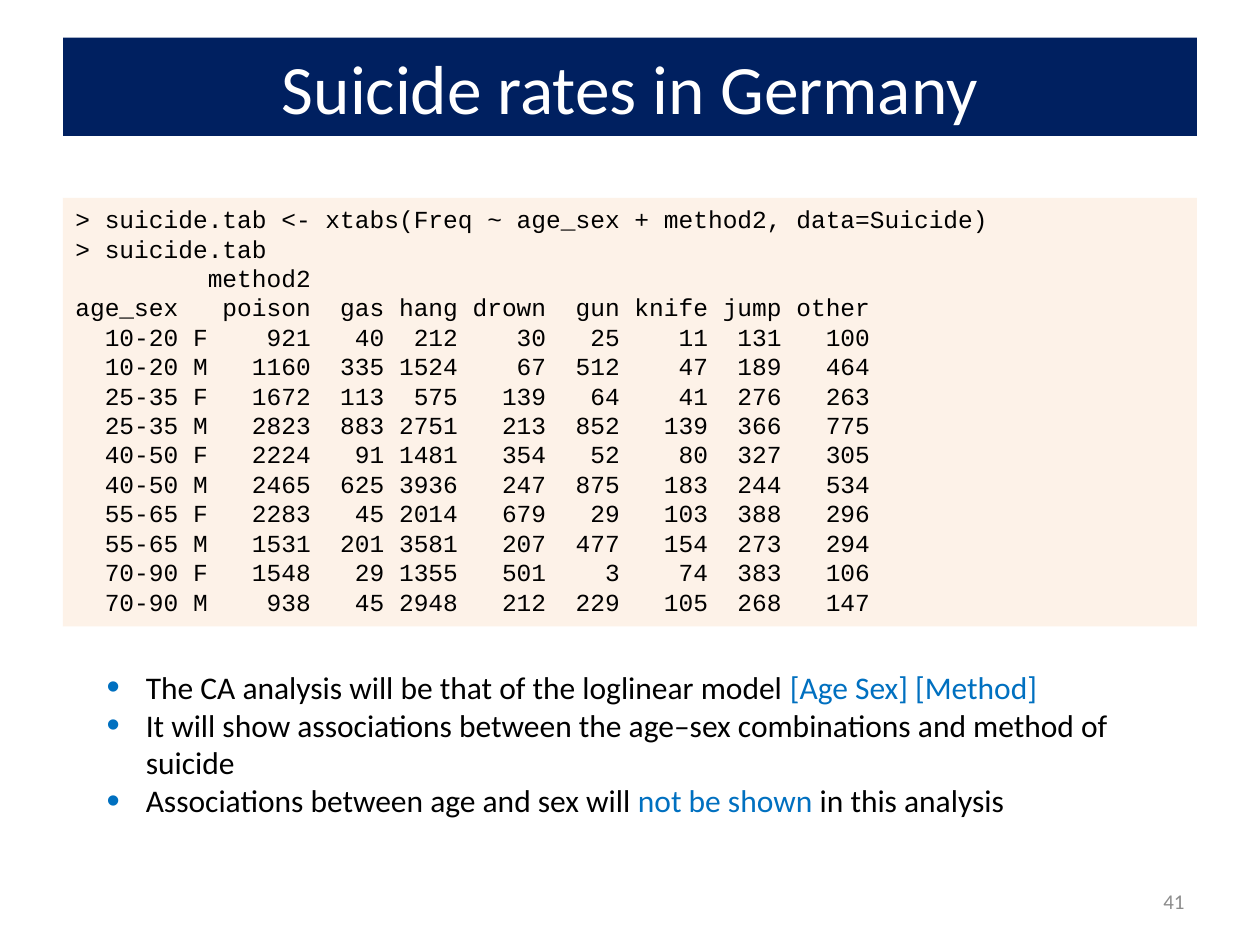
import pptx
import pptx.util
import pptx.dml.color
import pptx.enum.shapes
import pptx.enum.text
import pptx.oxml
import pptx.oxml.ns

Cm, Pt = pptx.util.Cm, pptx.util.Pt
RGB = pptx.dml.color.RGBColor
ALIGN = pptx.enum.text.PP_ALIGN
MIDDLE = pptx.enum.text.MSO_ANCHOR.MIDDLE

NAVY = RGB(0x00, 0x20, 0x60)
WHITE = RGB(0xFF, 0xFF, 0xFF)
BLACK = RGB(0x00, 0x00, 0x00)
BLUE = RGB(0x00, 0x70, 0xC0)
CREAM = RGB(0xFD, 0xEA, 0xDA)
GRAY = RGB(0x8C, 0x8C, 0x8C)

# Content
TITLE = "Suicide rates in Germany"
NUMBER = "41"
CODE = """\
> suicide.tab <- xtabs(Freq ~ age_sex + method2, data=Suicide)
> suicide.tab
         method2
age_sex   poison  gas hang drown  gun knife jump other
  10-20 F    921   40  212    30   25    11  131   100
  10-20 M   1160  335 1524    67  512    47  189   464
  25-35 F   1672  113  575   139   64    41  276   263
  25-35 M   2823  883 2751   213  852   139  366   775
  40-50 F   2224   91 1481   354   52    80  327   305
  40-50 M   2465  625 3936   247  875   183  244   534
  55-65 F   2283   45 2014   679   29   103  388   296
  55-65 M   1531  201 3581   207  477   154  273   294
  70-90 F   1548   29 1355   501    3    74  383   106
  70-90 M    938   45 2948   212  229   105  268   147"""
POINTS = [
    [("The CA analysis will be that of the loglinear model ", BLACK),
     ("[Age Sex] [Method]", BLUE)],
    [("It will show associations between the age–sex combinations "
      "and method of suicide", BLACK)],
    [("Associations between age and sex will ", BLACK),
     ("not be shown ", BLUE),
     ("in this analysis", BLACK)],
]

# Places: left, top, width, height in cm
LEFT, WIDE = 1.27, 22.86
TITLE_BOX = (LEFT, 0.76, WIDE, 1.98)
CODE_BOX = (LEFT, 3.99, WIDE, 8.64)
LIST_BOX = (1.9, 13.34, 22.23, 3.33)
NUM_BOX = (18.21, 17.65, 5.92, 1.02)

BULLET = (
    '<a:buClr {ns}><a:srgbClr val="{color}"/></a:buClr>',
    '<a:buSzPct {ns} val="120000"/>',
    '<a:buFont {ns} typeface="Arial"/>',
    '<a:buChar {ns} char="•"/>',
)


def style(run, size, color, face="Calibri"):
    run.font.size = Pt(size)
    run.font.name = face
    run.font.color.rgb = color


def add_bullet(para):
    props = para._p.get_or_add_pPr()
    props.set("marL", str(Cm(0.79)))
    props.set("indent", str(-Cm(0.79)))
    for part in BULLET:
        xml = part.format(ns=pptx.oxml.ns.nsdecls("a"), color=BLUE)
        props.append(pptx.oxml.parse_xml(xml))


def main():
    deck = pptx.Presentation()
    deck.slide_width, deck.slide_height = Cm(25.4), Cm(19.05)
    slide = deck.slides.add_slide(deck.slide_layouts[5])
    shapes = slide.shapes

    # Title bar
    title = shapes.title
    title.left, title.top, title.width, title.height = map(Cm, TITLE_BOX)
    title.fill.solid()
    title.fill.fore_color.rgb = NAVY
    frame = title.text_frame
    frame.text = TITLE
    frame.vertical_anchor = MIDDLE
    frame.paragraphs[0].alignment = ALIGN.CENTER
    style(frame.paragraphs[0].runs[0], 39.6, WHITE)

    # Slide number
    frame = shapes.add_textbox(*map(Cm, NUM_BOX)).text_frame
    frame.word_wrap = True
    frame.text = NUMBER
    frame.vertical_anchor = MIDDLE
    frame.paragraphs[0].alignment = ALIGN.RIGHT
    style(frame.paragraphs[0].runs[0], 12, GRAY)

    # Code panel, 60 % opaque
    panel = shapes.add_textbox(*map(Cm, CODE_BOX))
    panel.fill.solid()
    panel.fill.fore_color.rgb = CREAM
    tint = panel._element.spPr.find(".//" + pptx.oxml.ns.qn("a:srgbClr"))
    tint.append(pptx.oxml.parse_xml(
        f'<a:alpha {pptx.oxml.ns.nsdecls("a")} val="60000"/>'))
    frame = panel.text_frame
    frame.word_wrap = True
    frame.text = CODE
    for para in frame.paragraphs:
        style(para.runs[0], 14, BLACK, "Courier New")

    # Bullet list
    frame = shapes.add_textbox(*map(Cm, LIST_BOX)).text_frame
    frame.word_wrap = True
    for i, point in enumerate(POINTS):
        para = frame.add_paragraph() if i else frame.paragraphs[0]
        add_bullet(para)
        for text, color in point:
            run = para.add_run()
            run.text = text
            style(run, 18, color)

    deck.save("out.pptx")


if __name__ == "__main__":
    main()
